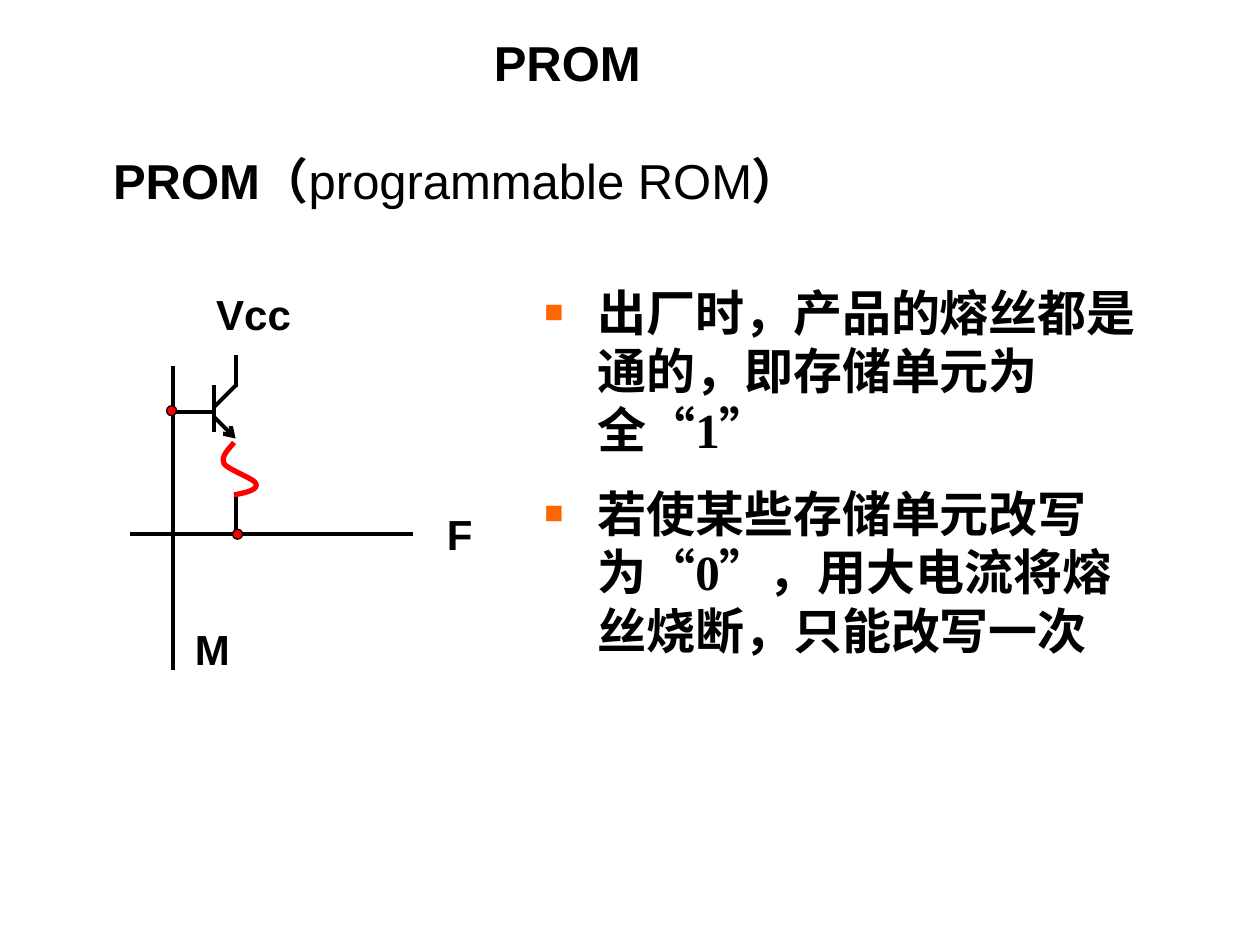
import dataclasses
import typing

import lxml.etree
import pptx
import pptx.dml.color
import pptx.enum.shapes
import pptx.enum.text
import pptx.oxml.ns
import pptx.util

Cm = pptx.util.Cm
Pt = pptx.util.Pt
BLACK = pptx.dml.color.RGBColor(0x00, 0x00, 0x00)
RED = pptx.dml.color.RGBColor(0xFF, 0x00, 0x00)
ORANGE = pptx.dml.color.RGBColor(0xFF, 0x66, 0x00)
Point = tuple[float, float]


@dataclasses.dataclass(frozen=True)
class Wire:
    start: Point
    end: Point
    arrow: bool = False


@dataclasses.dataclass(frozen=True)
class Label:
    text: str
    left: float
    top: float
    width: float


WIRES = [
    Wire((4.32, 7.77), (4.32, 8.71)),
    Wire((4.32, 8.2), (4.75, 7.77)),
    Wire((4.32, 8.41), (4.75, 8.84), arrow=True),
    Wire((4.75, 7.8), (4.75, 7.16)),
    Wire((4.32, 8.31), (3.48, 8.31)),
    Wire((4.75, 9.91), (4.75, 10.77)),
    Wire((2.62, 10.77), (8.33, 10.77)),
    Wire((3.48, 7.37), (3.48, 13.51)),
]
LABELS = [
    Label("Vcc", 4.11, 5.69, 2.54),
    Label("F", 8.76, 10.13, 1.27),
    Label("M", 3.68, 12.45, 1.27),
]
JUNCTIONS = [(4.79, 10.77), (3.46, 8.28)]
JUNCTION_SIZE = 0.2
FUSE_START = (4.72, 8.92)
FUSE_CURVES = [
    ((4.6, 9.07), (4.45, 9.2), (4.52, 9.35)),
    ((4.6, 9.47), (5.13, 9.65), (5.16, 9.75)),
    ((5.21, 9.88), (4.95, 9.93), (4.72, 9.98)),
]
CURVE_STEPS = 12
STATEMENTS = [
    "出厂时，产品的熔丝都是通的，即存储单元为全“1”",
    "若使某些存储单元改写为“0”，用大电流将熔丝烧断，只能改写一次",
]


def add_xml(parent: typing.Any, tag: str, **attributes: str) -> typing.Any:
    return lxml.etree.SubElement(parent, pptx.oxml.ns.qn(tag), attributes)


def place(shape: typing.Any, left: float, top: float, width: float, height: float) -> None:
    shape.left, shape.top, shape.width, shape.height = map(Cm, (left, top, width, height))


def prepare_frame(shape: typing.Any) -> typing.Any:
    frame = shape.text_frame
    frame.word_wrap = True
    frame.auto_size = pptx.enum.text.MSO_AUTO_SIZE.NONE
    frame.vertical_anchor = pptx.enum.text.MSO_ANCHOR.TOP
    return frame


def format_paragraph(paragraph: typing.Any, size: float, name: str, bold: bool | None = True) -> None:
    paragraph.alignment = pptx.enum.text.PP_ALIGN.LEFT
    paragraph.font.size = Pt(size)
    paragraph.font.name = name
    paragraph.font.bold = bold
    paragraph.font.color.rgb = BLACK


def add_bullet(paragraph: typing.Any) -> None:
    properties = paragraph._p.get_or_add_pPr()
    properties.set("marL", str(Cm(1.07)))
    properties.set("indent", str(-Cm(1.07)))
    color = add_xml(properties, "a:buClr")
    add_xml(color, "a:srgbClr", val=str(ORANGE))
    add_xml(properties, "a:buSzPct", val="65000")
    add_xml(properties, "a:buFont", typeface="Arial")
    add_xml(properties, "a:buChar", char="■")


def draw_wire(shapes: typing.Any, wire: Wire) -> None:
    connector = shapes.add_connector(
        pptx.enum.shapes.MSO_CONNECTOR.STRAIGHT, *map(Cm, wire.start + wire.end)
    )
    connector.line.color.rgb = BLACK
    connector.line.width = Pt(2.25)
    if wire.arrow:
        add_xml(connector.line._get_or_add_ln(), "a:tailEnd", type="arrow")
    add_xml(connector._element.spPr, "a:effectLst")


def draw_label(shapes: typing.Any, label: Label) -> None:
    box = shapes.add_textbox(Cm(label.left), Cm(label.top), Cm(label.width), Cm(1.27))
    paragraph = prepare_frame(box).paragraphs[0]
    paragraph.text = label.text
    format_paragraph(paragraph, 24, "Arial")


def draw_junction(shapes: typing.Any, center: Point) -> None:
    left, top = (Cm(value - JUNCTION_SIZE / 2) for value in center)
    dot = shapes.add_shape(
        pptx.enum.shapes.MSO_SHAPE.OVAL, left, top, Cm(JUNCTION_SIZE), Cm(JUNCTION_SIZE)
    )
    dot.shadow.inherit = False
    dot.fill.solid()
    dot.fill.fore_color.rgb = RED
    dot.line.color.rgb = BLACK
    dot.line.width = Pt(0.75)


def curve_point(points: tuple[Point, ...], t: float) -> Point:
    weights = ((1 - t) ** 3, 3 * t * (1 - t) ** 2, 3 * t**2 * (1 - t), t**3)
    x, y = (sum(w * p[axis] for w, p in zip(weights, points)) for axis in (0, 1))
    return Cm(x), Cm(y)


def draw_fuse(shapes: typing.Any) -> None:
    builder = shapes.build_freeform(*map(Cm, FUSE_START), scale=1.0)
    start = FUSE_START
    for curve in FUSE_CURVES:
        points = (start, *curve)
        steps = range(1, CURVE_STEPS + 1)
        builder.add_line_segments(
            [curve_point(points, step / CURVE_STEPS) for step in steps], close=False
        )
        start = curve[-1]
    fuse = builder.convert_to_shape()
    fuse.shadow.inherit = False
    fuse.fill.background()
    fuse.line.color.rgb = RED
    fuse.line.width = Pt(3)


def write_title(title: typing.Any) -> None:
    place(title, 9.7, 0.53, 4.19, 1.45)
    paragraph = prepare_frame(title).paragraphs[0]
    paragraph.text = "PROM"
    format_paragraph(paragraph, 28, "Arial")


def write_heading(shapes: typing.Any) -> None:
    heading = shapes.add_textbox(Cm(2.03), Cm(2.9), Cm(23.06), Cm(1.45))
    paragraph = prepare_frame(heading).paragraphs[0]
    format_paragraph(paragraph, 28, "Arial", bold=None)
    for text, bold in (("PROM（", True), ("programmable ROM", False), ("）", True)):
        run = paragraph.add_run()
        run.text = text
        run.font.bold = bold


def write_statements(body: typing.Any) -> None:
    place(body, 10.72, 5.56, 12.9, 8.03)
    frame = prepare_frame(body)
    frame.text = "\n".join(STATEMENTS)
    for index, paragraph in enumerate(frame.paragraphs):
        paragraph.space_before = Pt(14 if index else 0)
        add_bullet(paragraph)
        format_paragraph(paragraph, 28, "Times New Roman")


def main() -> None:
    presentation = pptx.Presentation()
    presentation.slide_width, presentation.slide_height = Cm(25.4), Cm(19.05)
    slide = presentation.slides.add_slide(presentation.slide_layouts[1])
    write_title(slide.shapes.title)
    write_heading(slide.shapes)
    circuit = slide.shapes.add_group_shape().shapes
    for wire in WIRES:
        draw_wire(circuit, wire)
    draw_fuse(circuit)
    for center in JUNCTIONS:
        draw_junction(circuit, center)
    for label in LABELS:
        draw_label(circuit, label)
    write_statements(slide.placeholders[1])
    presentation.save("out.pptx")


if __name__ == "__main__":
    main()
